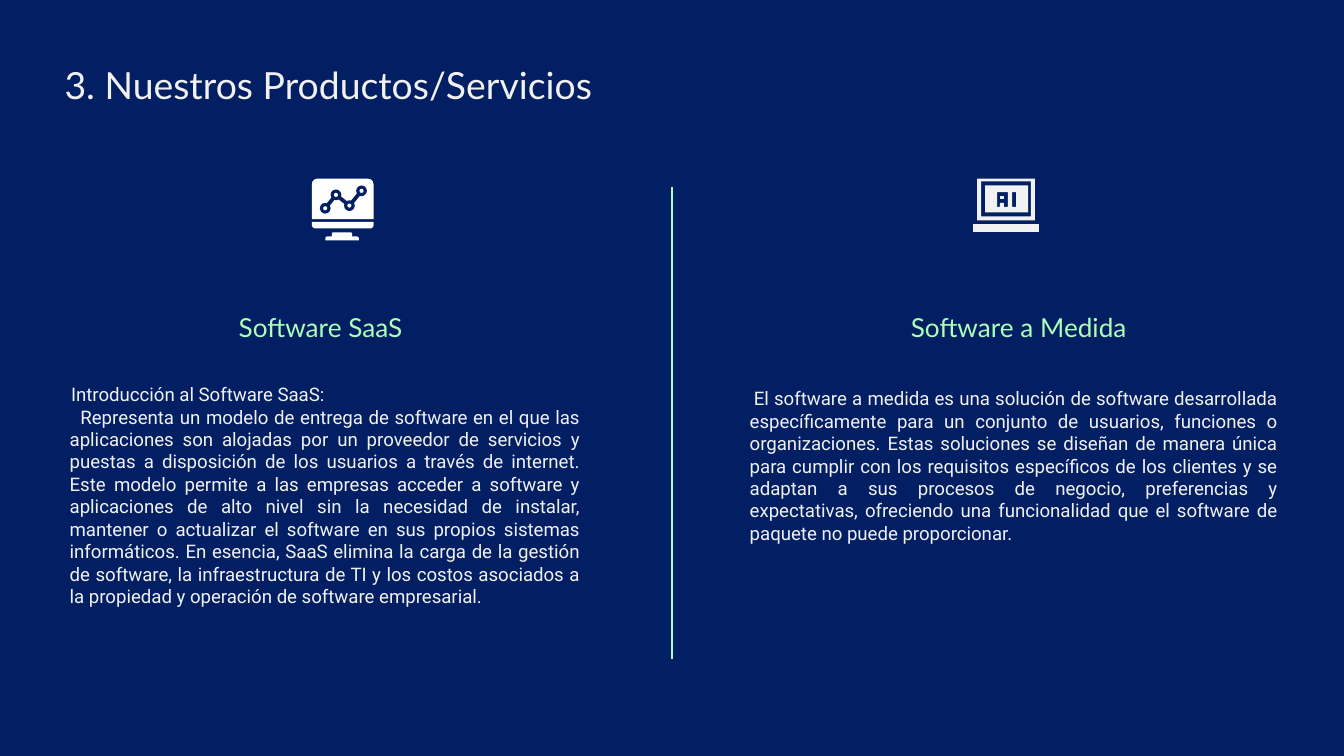
from lxml import etree
from pptx import Presentation
from pptx.dml.color import RGBColor
from pptx.enum.shapes import MSO_CONNECTOR, MSO_SHAPE
from pptx.enum.text import MSO_ANCHOR, PP_ALIGN
from pptx.oxml.ns import qn
from pptx.util import Inches, Pt

NAVY = RGBColor(0x02, 0x1F, 0x64)
LIGHT = RGBColor(0xF1, 0xF1, 0xF1)
WHITE = RGBColor(0xFF, 0xFF, 0xFF)
MINT = RGBColor(0xAD, 0xFF, 0xB7)
LEFT, CENTER, JUSTIFY = PP_ALIGN.LEFT, PP_ALIGN.CENTER, PP_ALIGN.JUSTIFY
TOP, BOTTOM = MSO_ANCHOR.TOP, MSO_ANCHOR.BOTTOM
OVAL, TABBED = MSO_SHAPE.OVAL, MSO_SHAPE.ROUND_2_SAME_RECTANGLE
STRAIGHT = MSO_CONNECTOR.STRAIGHT

deck = Presentation()
deck.slide_width = Inches(10)
deck.slide_height = Inches(10) * 9 // 16
slide = deck.slides.add_slide(deck.slide_layouts[5])
slide.background.fill.solid()
slide.background.fill.fore_color.rgb = NAVY
shapes = slide.shapes


def write(box, lines, size=10, font="Roboto", color=LIGHT, align=JUSTIFY,
          anchor=TOP, inset=0.1):
    """Fill box with lines of (text, left margin, first-line indent)."""
    frame = box.text_frame
    frame.word_wrap = True
    frame.vertical_anchor = anchor
    frame.margin_left = frame.margin_right = frame.margin_bottom = Inches(0.1)
    frame.margin_top = Inches(inset)
    for i, (text, margin, indent) in enumerate(lines):
        para = frame.add_paragraph() if i else frame.paragraphs[0]
        props = para._p.get_or_add_pPr()
        props.set("marL", str(Inches(margin)))
        props.set("indent", str(Inches(indent)))
        para.alignment = align
        para.space_before = Pt(0)
        run = para.add_run()
        run.text = text
        run.font.size, run.font.name = Pt(size), font
        run.font.color.rgb = color


def paint(shape, color):
    shape.shadow.inherit = False
    shape.fill.solid()
    shape.fill.fore_color.rgb = color
    shape.line.fill.background()


# Title
title = shapes.title
title.left, title.top = Inches(0.38), Inches(0.36)
title.width, title.height = Inches(8.43), Inches(0.63)
write(title, [("3. Nuestros Productos/Servicios", 0, 0)], size=20, font="Lato",
      align=LEFT)

# Columns
SAAS = [
    ("Introducción al Software SaaS:", 0.5, 0.01),
    ("Representa un modelo de entrega de software en el que las aplicaciones "
     "son alojadas por un proveedor de servicios y puestas a disposición de los "
     "usuarios a través de internet. Este modelo permite a las empresas acceder "
     "a software y aplicaciones de alto nivel sin la necesidad de instalar, "
     "mantener o actualizar el software en sus propios sistemas informáticos. "
     "En esencia, SaaS elimina la carga de la gestión de software, la "
     "infraestructura de TI y los costos asociados a la propiedad y operación "
     "de software empresarial.", 0.5, 0.08),
]
CUSTOM = [
    ("El software a medida es una solución de software desarrollada "
     "específicamente para un conjunto de usuarios, funciones o organizaciones. "
     "Estas soluciones se diseñan de manera única para cumplir con los "
     "requisitos específicos de los clientes y se adaptan a sus procesos de "
     "negocio, preferencias y expectativas, ofreciendo una funcionalidad que el "
     "software de paquete no puede proporcionar.", 0.5, 0.03),
]
columns = [
    (("Software SaaS", 0, 0), 0.91, SAAS, -0.08, 4.49, 2.33, 0.1),
    (("Software a Medida", 0.5, -0.33), 6.02, CUSTOM, 4.98, 4.62, 2.28, 0.13),
]
for head, head_x, body, x, width, height, inset in columns:
    box = shapes.add_textbox(Inches(x), Inches(2.75), Inches(width), Inches(height))
    write(box, body, inset=inset)
    box = shapes.add_textbox(Inches(head_x), Inches(2.02), Inches(2.95), Inches(0.63))
    write(box, [head], size=14, font="Lato", color=MINT, align=CENTER, anchor=BOTTOM)

# Laptop icon: each piece is an outline and its holes; two points mean a rectangle
LETTER = [(7.42, 1.43), (7.5, 1.43), (7.5, 1.54), (7.47, 1.54), (7.47, 1.51),
          (7.44, 1.51), (7.44, 1.54), (7.42, 1.54)]
laptop = [
    [[(7.27, 1.33), (7.7, 1.64)], [(7.3, 1.35), (7.67, 1.61)]],
    [[(7.33, 1.38), (7.65, 1.58)], [(7.53, 1.43), (7.56, 1.54)], LETTER],
    [[(7.44, 1.46), (7.47, 1.48)]],
    [[(7.24, 1.67), (7.73, 1.73)]],
]
for piece in laptop:
    pen = None
    for points in piece:
        if len(points) == 2:
            (x1, y1), (x2, y2) = points
            points = [(x1, y1), (x2, y1), (x2, y2), (x1, y2)]
        points = [(Inches(x), Inches(y)) for x, y in points]
        if pen is None:
            pen = shapes.build_freeform(*points[0])
        else:
            pen.move_to(*points[0])
        pen.add_line_segments(points[1:])
    paint(pen.convert_to_shape(), LIGHT)

# Monitor icon: screen, chin, neck and foot
monitor = [
    (2.32, 1.33, 0.46, 0.3, 0.14, 0),
    (2.32, 1.65, 0.46, 0.05, 0.5, 180),
    (2.47, 1.73, 0.15, 0.04, 0.2, 0),
    (2.42, 1.76, 0.25, 0.03, 0.5, 0),
]
for x, y, width, height, bend, turn in monitor:
    part = shapes.add_shape(TABBED, Inches(x), Inches(y), Inches(width), Inches(height))
    part.adjustments[0] = bend
    part.rotation = turn
    paint(part, WHITE)

# Trend on the screen, then the divider between columns
nodes = [(2.42, 1.55), (2.5, 1.45), (2.6, 1.53), (2.69, 1.42)]
lines = [(a, b, NAVY, 2) for a, b in zip(nodes, nodes[1:])]
lines.append(((5, 1.39), (5, 4.9), MINT, 0.75))
for (x1, y1), (x2, y2), color, weight in lines:
    line = shapes.add_connector(STRAIGHT, Inches(x1), Inches(y1), Inches(x2), Inches(y2))
    line.line.color.rgb = color
    line.line.width = Pt(weight)
    etree.SubElement(line._element.spPr, qn("a:effectLst"))
for x, y in nodes:
    for radius, color in [(0.04, NAVY), (0.015, WHITE)]:
        dot = shapes.add_shape(OVAL, Inches(x - radius), Inches(y - radius),
                               Inches(2 * radius), Inches(2 * radius))
        paint(dot, color)

deck.save("out.pptx")
